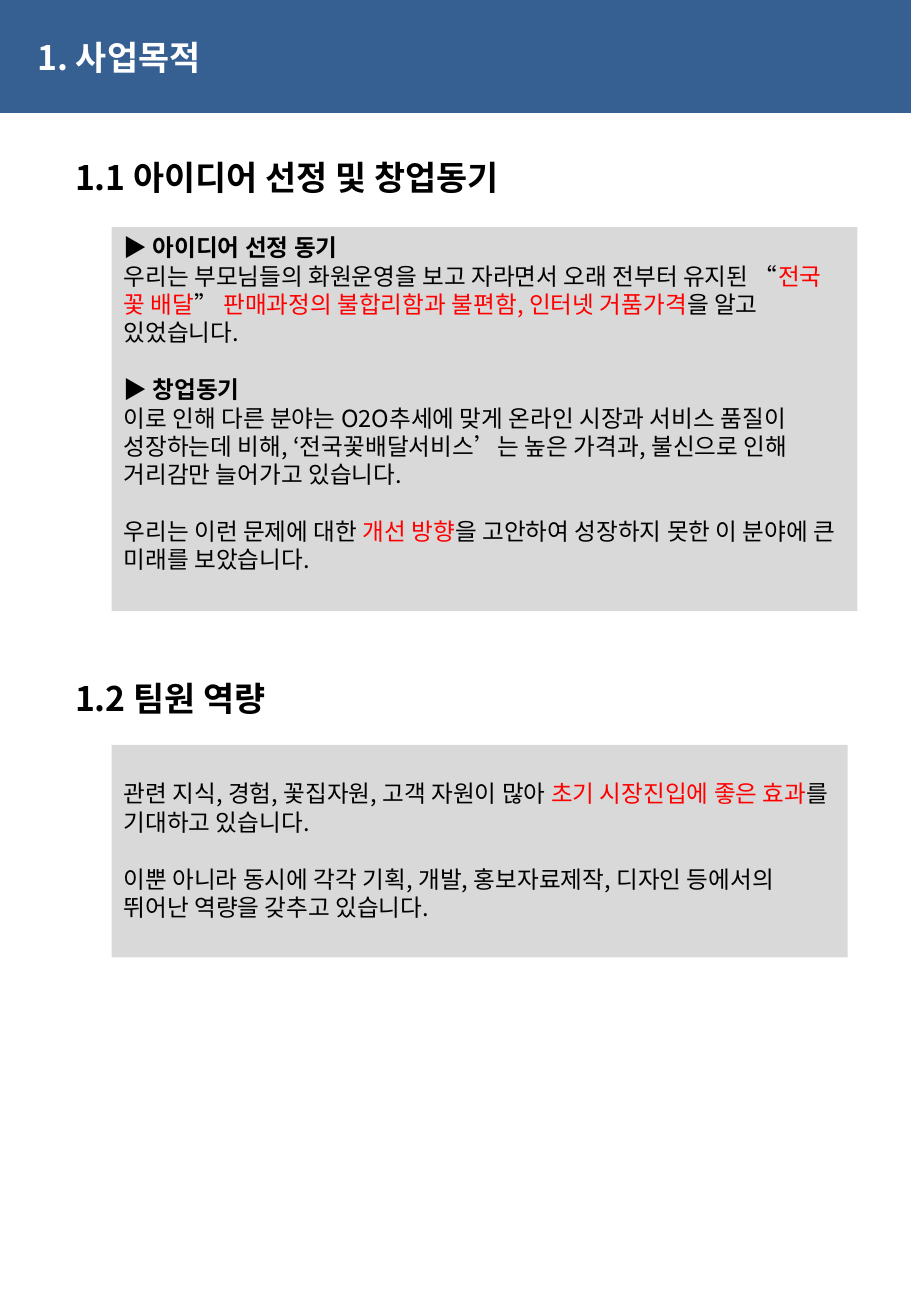
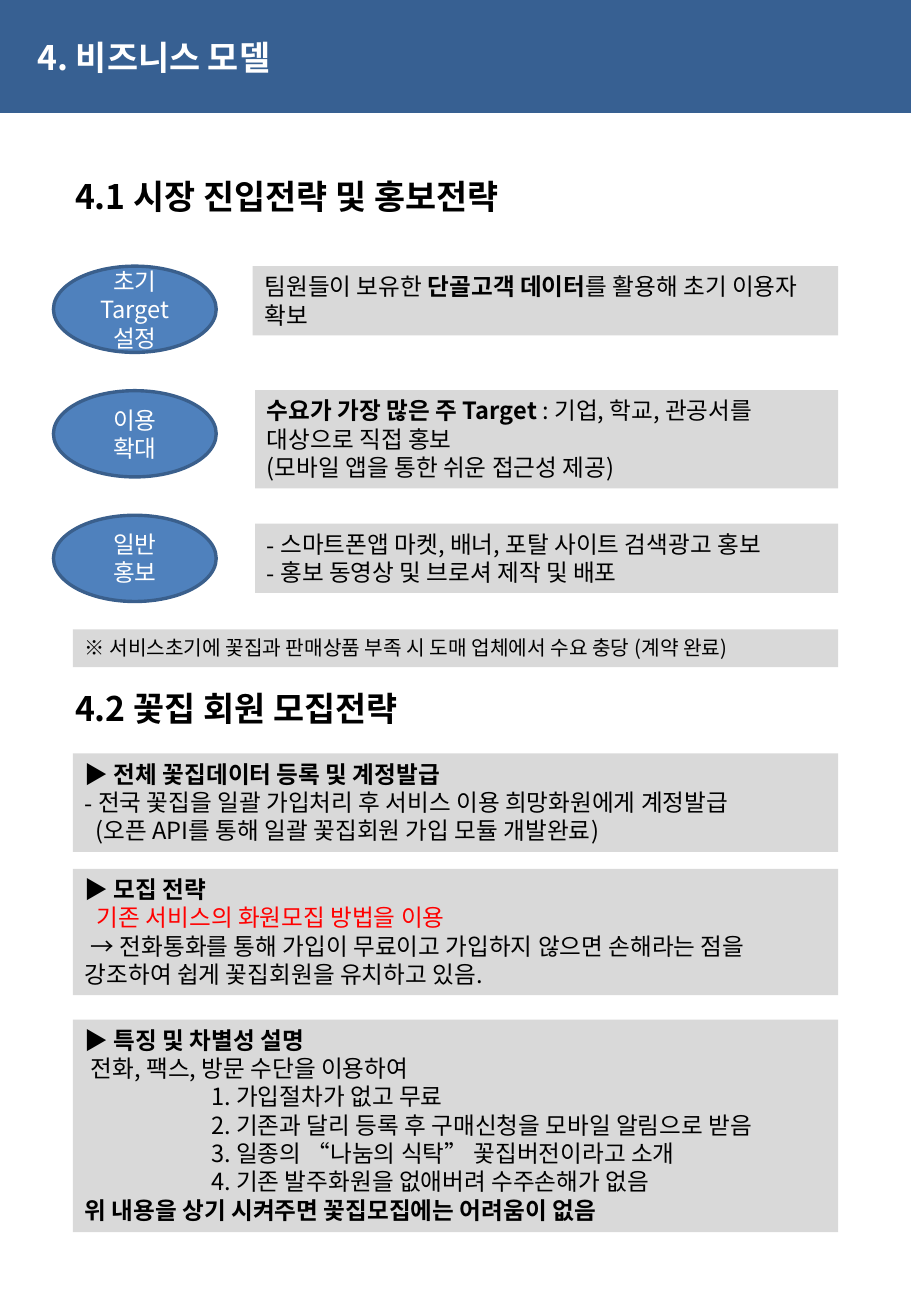
import pptx
import pptx.dml.color
import pptx.enum.shapes
import pptx.enum.text
import pptx.oxml
import pptx.oxml.ns
import pptx.util

Inches = pptx.util.Inches
Pt = pptx.util.Pt
SHAPE = pptx.enum.shapes.MSO_SHAPE
ALIGN = pptx.enum.text.PP_ALIGN
ANCHOR = pptx.enum.text.MSO_ANCHOR
RED = {"color": "red"}
BOLD = {"bold": True}


def add_run(p, text, size=14, color="black", bold=False):
    r = p.add_run()
    r.text = text
    r.font.size = Pt(size)
    r.font.bold = bold
    r.font.name = Deck.FONT
    r.font.color.rgb = Deck.rgb(color)
    ea = pptx.oxml.parse_xml(f'<a:ea {pptx.oxml.ns.nsdecls("a")} typeface="{Deck.FONT}"/>')
    r.font._element.find(pptx.oxml.ns.qn("a:latin")).addnext(ea)


class Deck:
    """Holds the shared style and the slide being built."""

    FONT = "Noto Sans CJK KR"
    COLORS = {
        "band": "376092",
        "panel": "D9D9D9",
        "oval": "4F81BD",
        "outline": "3A5F8C",
        "red": "FF0000",
        "black": "000000",
        "white": "FFFFFF",
    }
    LINE = 16.8

    def __init__(self):
        self.prs = pptx.Presentation()
        self.prs.slide_width = Inches(7.5)
        self.prs.slide_height = Inches(10.83)
        self.s = None

    @staticmethod
    def rgb(name):
        return pptx.dml.color.RGBColor.from_string(Deck.COLORS[name])

    def slide(self, title):
        self.s = self.prs.slides.add_slide(self.prs.slide_layouts[6])
        self.shape(SHAPE.RECTANGLE, 0, 0, 7.5, 0.93, "band")
        self.heading(title, 0.21, 0.25, color="white")

    def heading(self, text, left, top, color="black"):
        sp = self.s.shapes.add_textbox(Inches(left), Inches(top), Inches(5), Inches(0.44))
        sp.text_frame.word_wrap = True
        self.para(sp.text_frame, text, size=20, color=color, bold=True)

    def shape(self, kind, left, top, width, height, fill):
        sp = self.s.shapes.add_shape(kind, Inches(left), Inches(top), Inches(width), Inches(height))
        sp.shadow.inherit = False
        sp.fill.solid()
        sp.fill.fore_color.rgb = self.rgb(fill)
        sp.line.fill.background()
        return sp

    def panel(self, left, top, width, height, skip=0):
        tf = self.shape(SHAPE.RECTANGLE, left, top, width, height, "panel").text_frame
        tf.word_wrap = True
        tf.vertical_anchor = ANCHOR.TOP
        tf.margin_top = Inches(0.05) + Pt(skip * self.LINE)
        return tf

    def oval(self, top, lines):
        sp = self.shape(SHAPE.OVAL, 0.44, top, 1.34, 0.71, "oval")
        sp.line.color.rgb = self.rgb("outline")
        sp.line.width = Pt(2)
        sp.text_frame.word_wrap = True
        sp.text_frame.vertical_anchor = ANCHOR.MIDDLE
        for line in lines:
            self.para(sp.text_frame, line, align=ALIGN.CENTER, color="white")

    def para(self, tf, *runs, align=ALIGN.LEFT, skip=0, first=0, bullet=False, **style):
        p = tf.paragraphs[0]
        if p.runs:
            p = tf.add_paragraph()
        p.alignment = align
        if skip:
            p.space_before = Pt(skip * self.LINE)
        pPr = p._p.get_or_add_pPr()
        if first:
            pPr.set("indent", str(Inches(first)))
        if bullet:
            pPr.set("marL", str(Inches(0.11)))
            pPr.set("indent", str(-Inches(0.11)))
            ns = pptx.oxml.ns.nsdecls("a")
            pPr.append(pptx.oxml.parse_xml(f'<a:buFont {ns} typeface="{self.FONT}"/>'))
            pPr.append(pptx.oxml.parse_xml(f'<a:buChar {ns} char="-"/>'))
        for run in runs:
            text, extra = (run, {}) if isinstance(run, str) else run
            add_run(p, text, **{**style, **extra})


def purpose(deck):
    deck.slide("1. 사업목적")
    deck.heading("1.1 아이디어 선정 및 창업동기", 0.52, 1.24)
    tf = deck.panel(0.92, 1.87, 6.14, 3.16)
    deck.para(tf, "▶ 아이디어 선정 동기", bold=True)
    deck.para(tf, "우리는 부모님들의 화원운영을 보고 자라면서 오래 전부터 유지된 “",
              ("전국 꽃 배달", RED), "” ",
              ("판매과정의 불합리함과 불편함, 인터넷 거품가격", RED), "을 알고 있었습니다.")
    deck.para(tf, "▶ 창업동기", skip=1, bold=True)
    deck.para(tf, "이로 인해 다른 분야는 O2O추세에 맞게 온라인 시장과 서비스 품질이 성장하는데 비해, "
                  "‘전국꽃배달서비스’는 높은 가격과, 불신으로 인해 거리감만 늘어가고 있습니다.")
    deck.para(tf, "우리는 이런 문제에 대한 ", ("개선 방향", RED),
              "을 고안하여 성장하지 못한 이 분야에 큰 미래를 보았습니다.", skip=1)

    deck.heading("1.2 팀원 역량", 0.52, 5.53)
    tf = deck.panel(0.92, 6.13, 6.06, 1.75, skip=1)
    deck.para(tf, "관련 지식, 경험, 꽃집자원, 고객 자원이 많아 ",
              ("초기 시장진입에 좋은 효과", RED), "를 기대하고 있습니다.")
    deck.para(tf, "이뿐 아니라 동시에 각각 기획, 개발, 홍보자료제작, 디자인 등에서의 "
                  "뛰어난 역량을 갖추고 있습니다.", skip=1)


def business_model(deck):
    deck.slide("4. 비즈니스 모델")
    deck.heading("4.1 시장 진입전략 및 홍보전략", 0.52, 1.4)
    stages = [("초기 Target", "설정"), ("이용", "확대"), ("일반", "홍보")]
    for i, lines in enumerate(stages):
        deck.oval(2.19 + i * 1.025, lines)

    tf = deck.panel(2.08, 2.19, 4.82, 0.57)
    deck.para(tf, "팀원들이 보유한 ", ("단골고객 데이터", BOLD), "를 활용해 초기 이용자 확보")
    tf = deck.panel(2.1, 3.21, 4.8, 0.81)
    deck.para(tf, ("수요가 가장 많은 주 Target ", BOLD), ": 기업, 학교, 관공서를 대상으로 직접 홍보")
    deck.para(tf, "(모바일 앱을 통한 쉬운 접근성 제공)")
    tf = deck.panel(2.1, 4.31, 4.8, 0.57)
    deck.para(tf, "스마트폰앱 마켓, 배너, 포탈 사이트 검색광고 홍보", bullet=True)
    deck.para(tf, "홍보 동영상 및 브로셔 제작 및 배포", bullet=True)
    tf = deck.panel(0.6, 5.18, 6.3, 0.31)
    deck.para(tf, "※ 서비스초기에 꽃집과 판매상품 부족 시 도매 업체에서 수요 충당 (계약 완료)", size=12)

    deck.heading("4.2 꽃집 회원 모집전략", 0.52, 5.61)
    tf = deck.panel(0.6, 6.2, 6.3, 0.81)
    deck.para(tf, "▶ 전체 꽃집데이터 등록 및 계정발급", bold=True)
    deck.para(tf, "전국 꽃집을 일괄 가입처리 후 서비스 이용 희망화원에게 계정발급", bullet=True)
    deck.para(tf, "(오픈 API를 통해 일괄 꽃집회원 가입 모듈 개발완료)", first=0.09)
    tf = deck.panel(0.6, 7.15, 6.3, 1.04)
    deck.para(tf, "▶ 모집 전략", bold=True)
    deck.para(tf, "기존 서비스의 화원모집 방법을 이용", first=0.1, color="red")
    deck.para(tf, "→ 전화통화를 통해 가입이 무료이고 가입하지 않으면 손해라는 점을 "
                  "강조하여 쉽게 꽃집회원을 유치하고 있음.", first=0.05)
    tf = deck.panel(0.6, 8.39, 6.3, 1.75)
    deck.para(tf, "▶ 특징 및 차별성 설명", bold=True)
    deck.para(tf, "전화, 팩스, 방문 수단을 이용하여", first=0.05)
    benefits = [
        "가입절차가 없고 무료",
        "기존과 달리 등록 후 구매신청을 모바일 알림으로 받음",
        "일종의 “나눔의 식탁” 꽃집버전이라고 소개",
        "기존 발주화원을 없애버려 수주손해가 없음",
    ]
    for number, benefit in enumerate(benefits, 1):
        deck.para(tf, f"{number}. {benefit}", first=1.04)
    deck.para(tf, "위 내용을 상기 시켜주면 꽃집모집에는 어려움이 없음", bold=True)


def main():
    deck = Deck()
    purpose(deck)
    business_model(deck)
    deck.prs.save("out.pptx")


if __name__ == "__main__":
    main()
